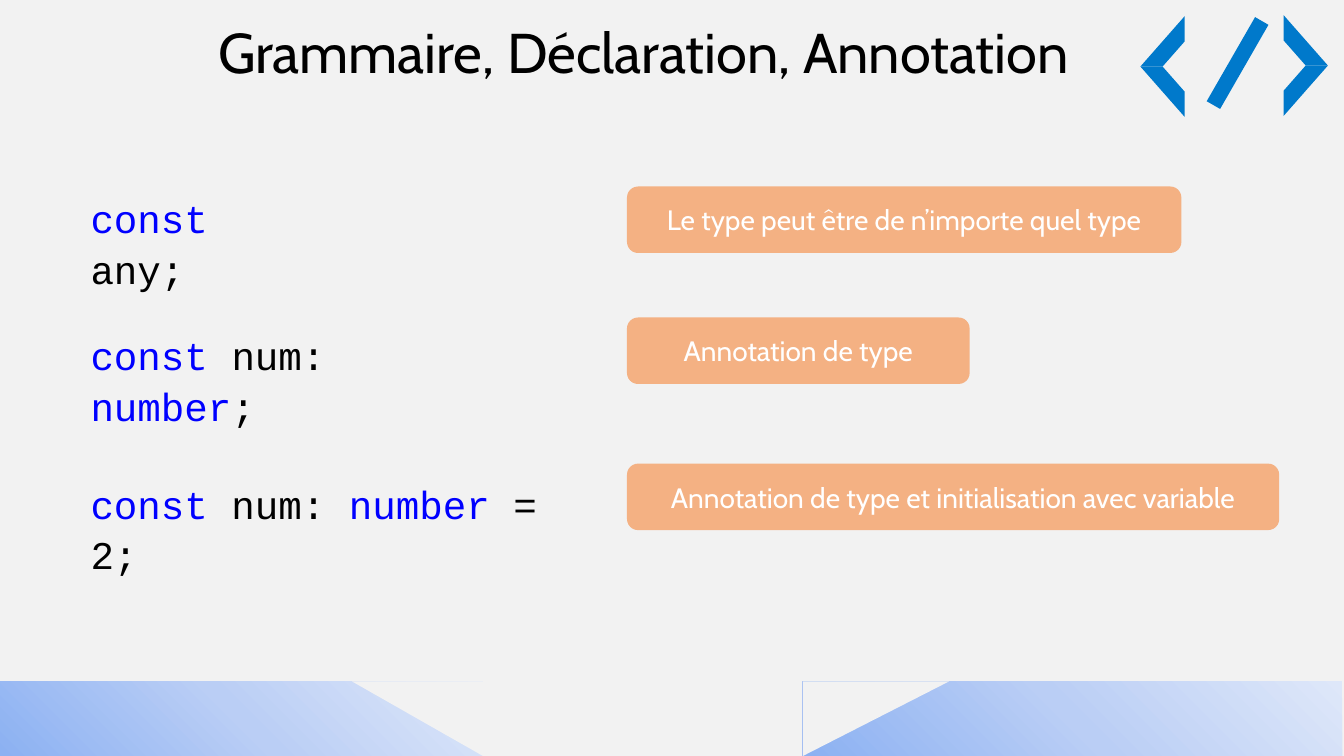
from pptx import Presentation
from pptx.dml.color import RGBColor
from pptx.enum.shapes import MSO_SHAPE
from pptx.enum.text import MSO_ANCHOR, PP_ALIGN
from pptx.oxml import parse_xml
from pptx.oxml.ns import nsdecls
from pptx.util import Inches, Pt

RECT, TRIANGLE = MSO_SHAPE.RECTANGLE, MSO_SHAPE.RIGHT_TRIANGLE
STRIPE, MINUS = MSO_SHAPE.DIAGONAL_STRIPE, MSO_SHAPE.MATH_MINUS
ROUNDED = MSO_SHAPE.ROUNDED_RECTANGLE
CENTER, MIDDLE = PP_ALIGN.CENTER, MSO_ANCHOR.MIDDLE

PAPER = RGBColor(0xF2, 0xF2, 0xF2)
BLUE = RGBColor(0x00, 0x79, 0xCB)
KEYWORD = RGBColor(0x00, 0x00, 0xFF)
BLACK = RGBColor(0x00, 0x00, 0x00)
WHITE = RGBColor(0xFF, 0xFF, 0xFF)
PEACH = RGBColor(0xF4, 0xB1, 0x83)
BAND_STOPS = ((0, RGBColor(0x8C, 0xB1, 0xF2)), (50, RGBColor(0xBA, 0xCE, 0xF5)),
              (100, RGBColor(0xDE, 0xE7, 0xF9)))


class Lesson:
    """Places elements on a grid of 100 columns by 100 rows."""
    body_font, code_font = "Cabin", "Courier New"

    def __init__(self):
        self.deck = Presentation()
        self.deck.slide_width, self.deck.slide_height = Inches(13.33), Inches(7.5)
        self.slide = self.deck.slides.add_slide(self.deck.slide_layouts[6])
        background = self.slide.background.fill
        background.solid()
        background.fore_color.rgb = PAPER

    def frame(self, column, row, columns, rows):
        width, height = self.deck.slide_width, self.deck.slide_height
        return [round(share * side / 100) for share, side in
                zip((column, row, columns, rows), (width, height, width, height))]

    def shape(self, kind, place, color, turn=0, flip=None):
        """Quarter-turned shapes are placed by the area they cover."""
        left, top, width, height = self.frame(*place)
        if turn % 180 == 90:
            left, top = left + (width - height) // 2, top + (height - width) // 2
            width, height = height, width
        shape = self.slide.shapes.add_shape(kind, left, top, width, height)
        shape.shadow.inherit = False
        shape.line.fill.background()
        shape.fill.solid()
        shape.fill.fore_color.rgb = color
        shape.rotation = turn
        if flip:
            shape._element.spPr.xfrm.set(flip, "1")
        return shape

    def band(self, place, turn, flip=None):
        band = self.shape(RECT, place, PAPER, turn, flip)
        stops = "".join(f'<a:gs pos="{share * 1000}"><a:srgbClr val="{color}"/></a:gs>'
                        for share, color in BAND_STOPS)
        gradient = parse_xml(
            f'<a:gradFill {nsdecls("a")} rotWithShape="1"><a:gsLst>{stops}</a:gsLst>'
            '<a:path path="circle"><a:fillToRect t="100000" r="100000"/></a:path></a:gradFill>')
        properties = band._element.spPr
        properties.replace(properties.find("{*}solidFill"), gradient)

    def style(self, paragraph, font, size, color=None, align=None):
        paragraph.font.name, paragraph.font.size = font, Pt(size)
        if color is not None:
            paragraph.font.color.rgb = color
        if align is not None:
            paragraph.alignment = align

    def text_box(self, place):
        text = self.slide.shapes.add_textbox(*self.frame(*place)).text_frame
        text.word_wrap = True
        return text.paragraphs[0]

    def title(self, place, words):
        heading = self.text_box(place)
        heading.text = words
        self.style(heading, self.body_font, 40, BLACK, CENTER)

    def code(self, place, tokens):
        statement = self.text_box(place)
        statement.line_spacing = 1.07
        for token, color in tokens:
            run = statement.add_run()
            run.text = token
            run.font.color.rgb = color
        self.style(statement, self.code_font, 28)

    def label(self, place, words):
        text = self.shape(ROUNDED, place, PEACH).text_frame
        text.word_wrap = True
        text.vertical_anchor = MIDDLE
        text.text = words
        self.style(text.paragraphs[0], self.body_font, 20, WHITE, CENTER)


def main():
    lesson = Lesson()

    # Footer bands with their slanted inner ends
    footer_row, footer_rows = 90.13, 9.87
    right_start, left_end, left_slant = 59.74, 35.93, 9.75
    lesson.band((right_start, footer_row, 40.13, footer_rows), 90, "flipH")
    lesson.shape(TRIANGLE, (right_start, footer_row, 10.88, footer_rows), PAPER, 90)
    lesson.band((0, footer_row, left_end, footer_rows), 270)
    lesson.shape(TRIANGLE, (left_end - left_slant, footer_row, left_slant, footer_rows),
                 PAPER, 270, "flipH")

    # Code symbol: two brackets and a slash
    arm_columns, arm_rows = 3.3, 6.67
    for column, top, turn, flips in ((95.5, 2, 0, ("flipV", None)),
                                     (84.85, 2.13, 180, (None, "flipV"))):
        for arm, flip in enumerate(flips):
            lesson.shape(STRIPE, (column, top + arm * arm_rows, arm_columns, arm_rows),
                         BLUE, turn, flip)
    lesson.shape(MINUS, (87.17, 4, 9.83, 8.67), BLUE, 299.9)

    # Title
    lesson.title((9.83, 1.6, 76.07, 10.27), "Grammaire, Déclaration, Annotation")

    # Each declaration beside its explanation
    const, num = ("const ", KEYWORD), ("num: ", BLACK)
    declarations = (
        (24.67, 17.7, (const, ("any;", BLACK)),
         24.67, 41.25, "Le type peut être de n’importe quel type"),
        (42.8, 30.6, (const, num, ("number", KEYWORD), (";", BLACK)),
         42, 25.5, "Annotation de type"),
        (62.4, 37.13, (const, num, ("number ", KEYWORD), ("= 2;", BLACK)),
         61.33, 48.53, "Annotation de type et initialisation avec variable"),
    )
    for code_row, code_columns, tokens, label_row, label_columns, words in declarations:
        lesson.code((6, code_row, code_columns, 7.6), tokens)
        lesson.label((46.65, label_row, label_columns, 8.8), words)

    lesson.deck.save("out.pptx")


if __name__ == "__main__":
    main()
